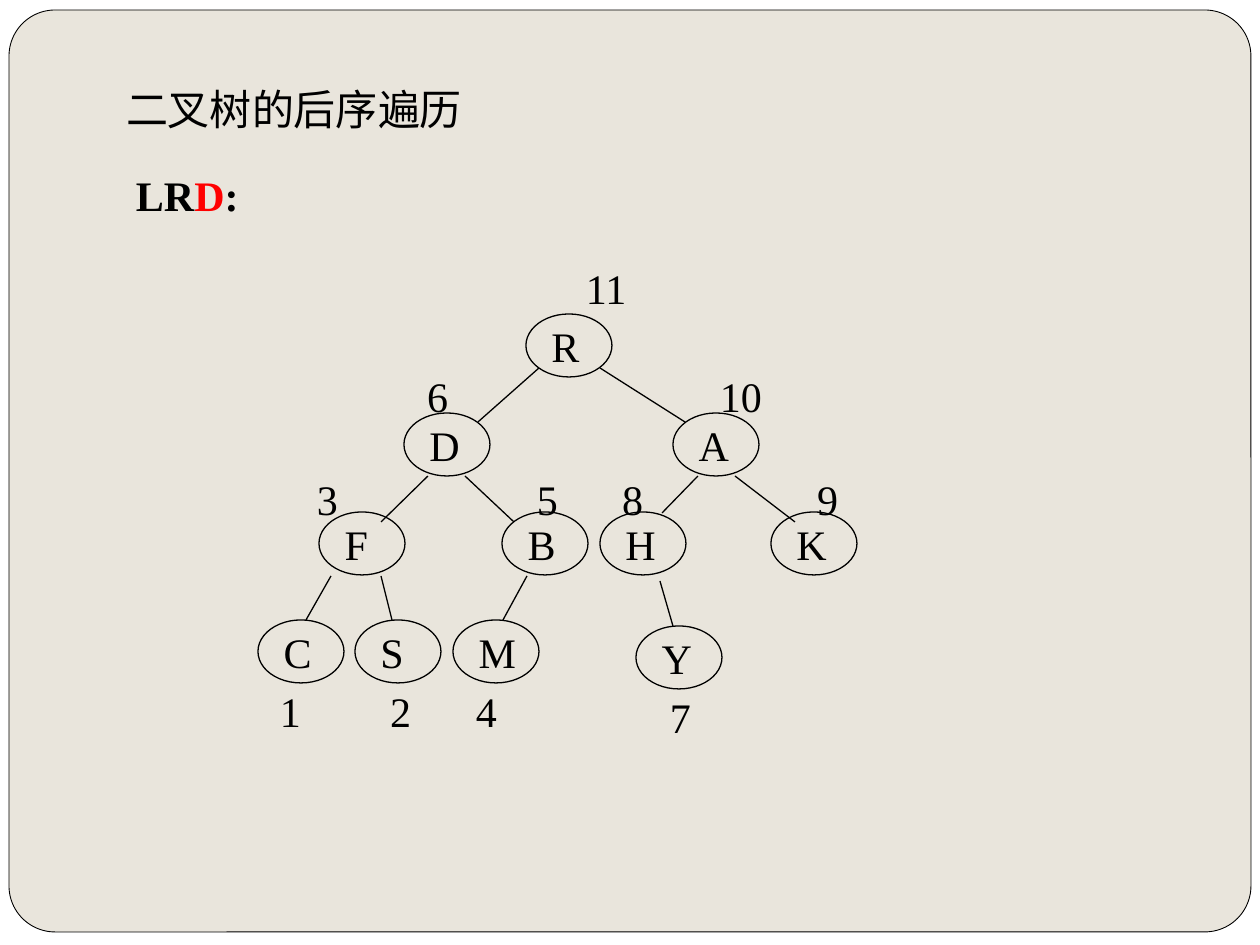
from collections import namedtuple
from dataclasses import dataclass

from lxml.etree import SubElement
from pptx import Presentation
from pptx.dml.color import RGBColor
from pptx.enum.shapes import MSO_CONNECTOR, MSO_SHAPE
from pptx.enum.text import MSO_ANCHOR, MSO_AUTO_SIZE, PP_ALIGN
from pptx.oxml.ns import qn
from pptx.util import Emu, Pt


@dataclass(frozen=True)
class Theme:
    paper: RGBColor = RGBColor(0xFF, 0xFF, 0xFF)
    panel: RGBColor = RGBColor(0xE9, 0xE5, 0xDC)
    ink: RGBColor = RGBColor(0x00, 0x00, 0x00)
    accent: RGBColor = RGBColor(0xFF, 0x00, 0x00)
    font: str = "Times New Roman"
    size: int = 24
    frame_line: float = 0.5
    tree_line: float = 0.75


THEME = Theme()
PX_PER_INCH = 126
PAGE_SIZE = (1260, 945)
INSET_X, INSET_Y = 13, 6
NODE_WIDTH, NODE_HEIGHT = 86, 63
DIGIT_WIDTH = 21

Box = namedtuple("Box", "left top width height")
Node = namedtuple("Node", "name place order order_place")

# Places are px from the top left corner of the tree
NODES = [
    Node("R", (268, 58), "11", (315, 1)),
    Node("D", (146, 157), "6", (156, 109)),
    Node("A", (415, 157), "10", (449, 109)),
    Node("F", (61, 256), "3", (46, 212)),
    Node("B", (244, 256), "5", (266, 212)),
    Node("H", (342, 256), "8", (351, 212)),
    Node("K", (513, 256), "9", (546, 212)),
    Node("C", (0, 364), "1", (9, 424)),
    Node("S", (97, 364), "2", (119, 424)),
    Node("M", (195, 364), "4", (205, 424)),
    Node("Y", (378, 370), "7", (399, 430)),
]
BRANCHES = [
    ((281, 112), (220, 166)),  # R to D
    ((342, 112), (427, 166)),  # R to A
    ((170, 220), (123, 266)),  # D to F
    ((207, 220), (256, 266)),  # D to B
    ((440, 220), (404, 257)),  # A to H
    ((477, 220), (537, 266)),  # A to K
    ((73, 320), (48, 364)),    # F to C
    ((123, 320), (134, 364)),  # F to S
    ((269, 320), (245, 364)),  # B to M
    ((402, 325), (415, 370)),  # H to Y
]


def px(length):
    return Emu(round(length * 914400 / PX_PER_INCH))


def write(shape, *spans, bold=False, wrap=False, anchor=MSO_ANCHOR.TOP,
          insets=(INSET_X, INSET_Y, INSET_X, INSET_Y)):
    """Write (text, colour) spans as one left-aligned paragraph."""
    frame = shape.text_frame
    frame.word_wrap = wrap
    frame.auto_size = MSO_AUTO_SIZE.NONE
    frame.vertical_anchor = anchor
    (frame.margin_left, frame.margin_top,
     frame.margin_right, frame.margin_bottom) = map(px, insets)
    para = frame.paragraphs[0]
    para.alignment = PP_ALIGN.LEFT
    for text, colour in spans:
        span = para.add_run()
        span.text = text
        span.font.name = THEME.font
        span.font.size = Pt(THEME.size)
        span.font.bold = bold
        span.font.color.rgb = colour


def add_outline(shapes, kind, box, width, fill=None):
    shape = shapes.add_shape(kind, *map(px, box))
    shape.shadow.inherit = False
    if fill is None:
        shape.fill.background()
    else:
        shape.fill.solid()
        shape.fill.fore_color.rgb = fill
    shape.line.color.rgb = THEME.ink
    shape.line.width = Pt(width)
    return shape


def add_panel(page, box):
    page.background.fill.solid()
    page.background.fill.fore_color.rgb = THEME.paper
    panel = add_outline(page.shapes, MSO_SHAPE.ROUNDED_RECTANGLE, box,
                        THEME.frame_line, THEME.panel)
    panel.adjustments[0] = 0.05
    # Keep the panel behind the title
    page.shapes._spTree.insert(2, panel._element)


def add_heading(page, box):
    title = page.shapes.title
    title.left, title.top, title.width, title.height = map(px, box)
    write(title, ("二叉树的后序遍历", THEME.ink))


def add_rule(page, box):
    rule = page.shapes.add_textbox(*map(px, box))
    write(rule, ("LR", THEME.ink), ("D", THEME.accent), (":", THEME.ink), bold=True)


def add_branch(shapes, start, end):
    branch = shapes.add_connector(MSO_CONNECTOR.STRAIGHT, *map(px, start + end))
    branch.line.color.rgb = THEME.ink
    branch.line.width = Pt(THEME.tree_line)
    SubElement(branch._element.spPr, qn("a:effectLst"))


def add_tree(page, box):
    shapes = page.shapes.add_group_shape().shapes

    def place(point):
        return box.left + point[0], box.top + point[1]

    # Nodes with their letters
    for node in NODES:
        oval = add_outline(shapes, MSO_SHAPE.OVAL,
                           (*place(node.place), NODE_WIDTH, NODE_HEIGHT),
                           THEME.tree_line)
        write(oval, (node.name, THEME.ink), wrap=True, anchor=MSO_ANCHOR.MIDDLE,
              insets=(INSET_X, 0, 0, 0))

    # Branches
    for start, end in BRANCHES:
        add_branch(shapes, place(start), place(end))

    # Visiting order
    for node in NODES:
        width = 2 * INSET_X + DIGIT_WIDTH * len(node.order)
        label = shapes.add_textbox(
            *map(px, (*place(node.order_place), width, NODE_HEIGHT)))
        write(label, (node.order, THEME.ink))


def main():
    deck = Presentation()
    deck.slide_width, deck.slide_height = map(px, PAGE_SIZE)
    page = deck.slides.add_slide(deck.slide_layouts[5])
    add_panel(page, Box(9, 10, 1242, 922))
    # The title box has spare width so that its line never wraps
    add_heading(page, Box(113, 77, 400, 63))
    add_rule(page, Box(123, 164, 129, 63))
    add_tree(page, Box(258, 256, 599, 492))
    deck.save("out.pptx")


if __name__ == "__main__":
    main()
